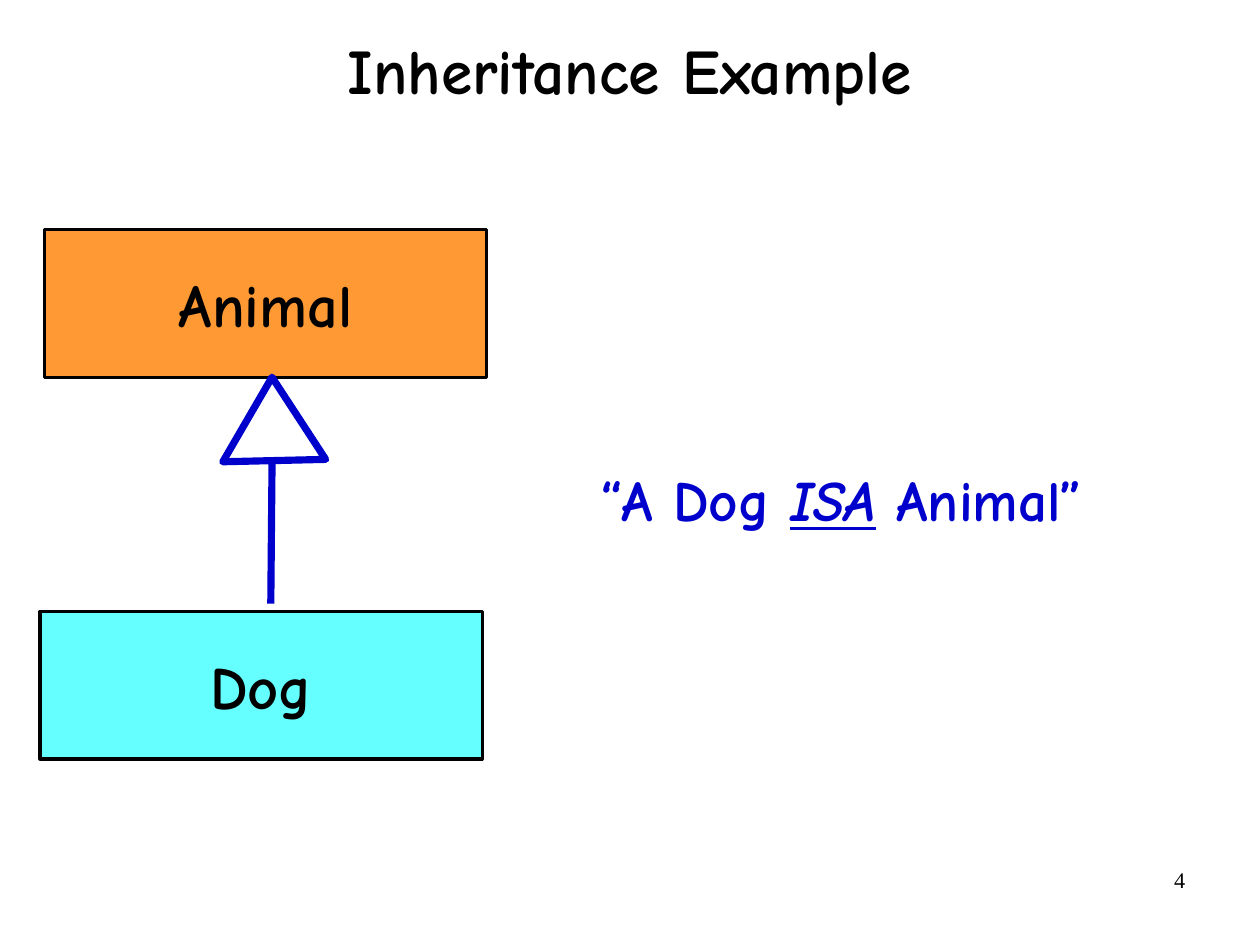
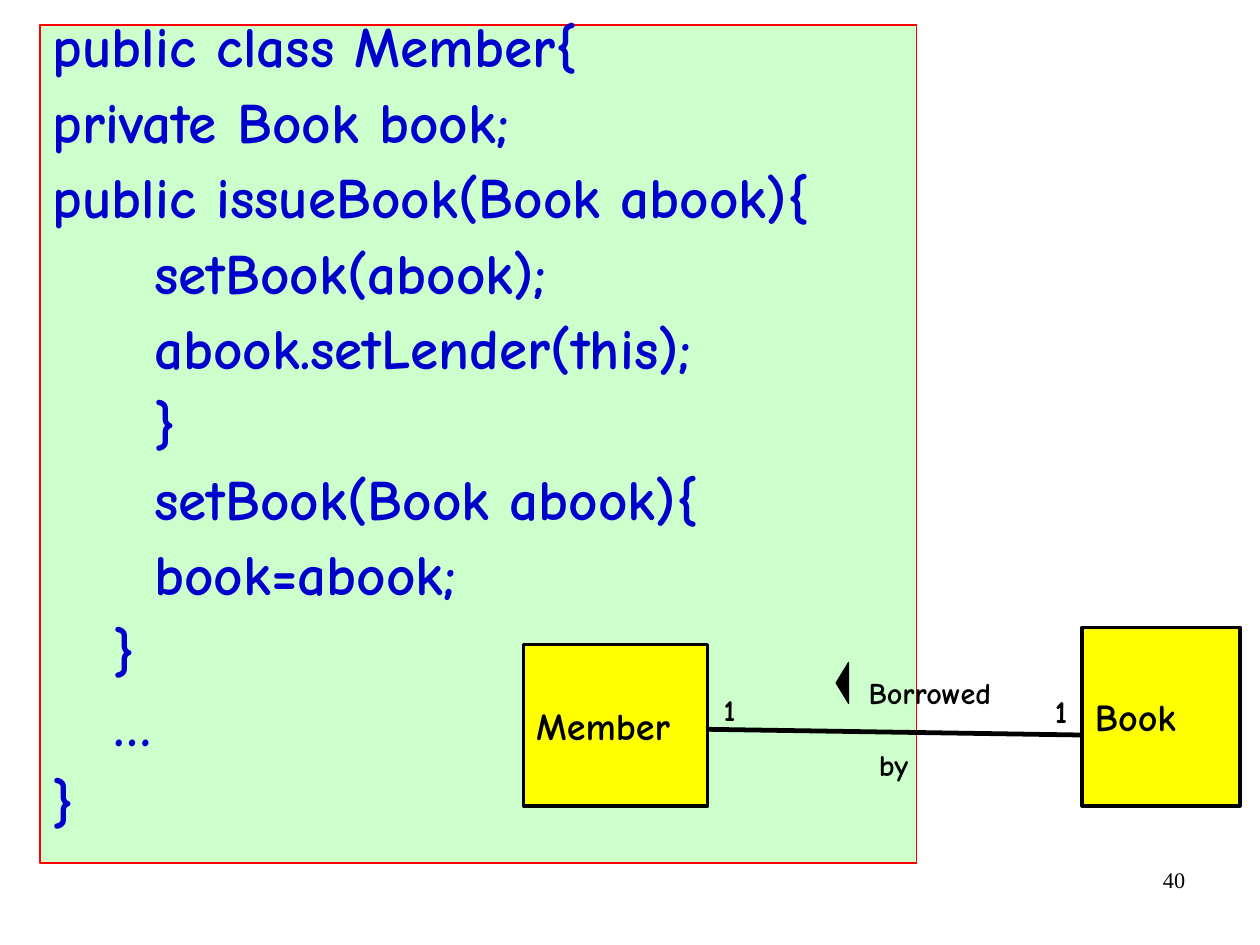
from dataclasses import dataclass

from lxml import etree
from pptx import Presentation
from pptx import util as u
from pptx.dml.color import RGBColor
from pptx.enum import shapes, text
from pptx.oxml import ns

Pt = u.Pt
ALIGN, ANCHOR, SHAPE = text.PP_ALIGN, text.MSO_ANCHOR, shapes.MSO_SHAPE


@dataclass(frozen=True)
class Theme:
    font: str = "Comic Neue"
    number_font: str = "Times New Roman"
    black: str = "000000"
    blue: str = "0000CC"
    orange: str = "FF9933"
    cyan: str = "66FFFF"
    yellow: str = "FFFF00"
    green: str = "CCFFCC"
    red: str = "FF0000"
    title: int = 40
    class_name: int = 38
    body: int = 36
    entity: int = 24
    role: int = 20
    label: int = 19
    number: int = 14


THEME = Theme()
PAGE_SIZE = (793.75, 595.25)
TITLE_AREA = (58.3, -2.2, 676.8, 98.6)
NUMBER_AREA = (568.8, 542.2, 185, 41)
NO_INSET, INSET = (0, 0), (7.9, 4.3)

# Content: inheritance slide
TITLE = "Inheritance Example"
CLASS_SIZE = (278.6, 92.9)
CLASSES = [
    ("Animal", (28.1, 144.7), THEME.orange),
    ("Dog", (25.2, 385.2), THEME.cyan),
]
ARROW_STEM = [(170.6, 380.2), (171.4, 290.9)]
ARROW_HEAD = [(171.4, 237.6), (140.4, 290.9), (205.2, 289.4)]
QUOTE_AREA = (295.2, 288, 469.4, 51.1)
QUOTE = [("“A Dog ", False), ("ISA", True), (" Animal”", False)]

# Content: association slide
CODE_AREA = (25.2, 15.8, 552.2, 527.8)
CODE = [
    "public class Member{",
    "private Book book;",
    "public issueBook(Book abook){",
    "     setBook(abook);",
    "     abook.setLender(this);",
    "     }",
    "     setBook(Book abook){",
    "     book=abook;",
    "   }",
    "   …",
    "}",
]
ENTITIES = [
    ("Member", (329.8, 406.1, 115.9, 101.5)),
    ("Book", (681.8, 395.3, 99.4, 112.3)),
]
ASSOCIATION = [(445.7, 459.4), (681.8, 463)]
DIRECTION_MARK = (517.7, 426.2, 25.9, 7.9)
MULTIPLICITIES = [
    ("1", (455.8, 435.6, 14, 23), THEME.label),
    ("1", (664.6, 435.6, 14, 23), THEME.role),
]
LABEL_AREA = (547.2, 424.8, 115.2, 68.4)
LABEL = [("Borrowed", 0, 0), ("by", 6.5, 22.8)]  # words, indent, space before


def color(value):
    return RGBColor.from_string(value)


def set_frame(box, inset=NO_INSET, anchor=ANCHOR.TOP):
    frame = box.text_frame
    frame.word_wrap = True
    frame.auto_size = text.MSO_AUTO_SIZE.NONE
    frame.vertical_anchor = anchor
    frame.margin_left = frame.margin_right = Pt(inset[0])
    frame.margin_top = frame.margin_bottom = Pt(inset[1])
    return frame


def add_para(frame, align=ALIGN.LEFT, indent=None):
    first = frame.paragraphs[0]
    para = frame.add_paragraph() if first.runs else first
    para.alignment = align
    if indent:
        left, hanging = indent
        properties = para._p.get_or_add_pPr()
        properties.set("marL", str(Pt(left)))
        properties.set("indent", str(Pt(hanging)))
    return para


def add_span(para, words, size, ink=THEME.black, bold=True, font=THEME.font):
    span = para.add_run()
    span.text = words
    span.font.name, span.font.size, span.font.bold = font, Pt(size), bold
    span.font.color.rgb = color(ink)
    return span


def add_frame(page, area, inset=NO_INSET):
    return set_frame(page.shapes.add_textbox(*map(Pt, area)), inset)


def style_line(item, ink, width):
    item.line.color.rgb = color(ink)
    item.line.width = Pt(width)


def add_box(page, area, fill, width, kind=SHAPE.RECTANGLE, ink=THEME.black):
    box = page.shapes.add_shape(kind, *map(Pt, area))
    box.shadow.inherit = False
    box.fill.solid()
    box.fill.fore_color.rgb = color(fill)
    style_line(box, ink, width)
    return box


def add_line(page, ends, ink, width):
    (x1, y1), (x2, y2) = ends
    line = page.shapes.add_connector(
        shapes.MSO_CONNECTOR.STRAIGHT, Pt(x1), Pt(y1), Pt(x2), Pt(y2))
    style_line(line, ink, width)
    etree.SubElement(line._element.spPr, ns.qn("a:effectLst"))


def add_page(deck, number, title=None):
    page = deck.slides.add_slide(deck.slide_layouts[5 if title else 6])
    if title:
        box = page.shapes.title
        box.left, box.top, box.width, box.height = map(Pt, TITLE_AREA)
        para = add_para(set_frame(box, anchor=ANCHOR.MIDDLE), ALIGN.CENTER)
        para.line_spacing = 0.88
        add_span(para, title, THEME.title)
    para = add_para(add_frame(page, NUMBER_AREA, (7.2, 3.6)), ALIGN.RIGHT)
    add_span(para, number, THEME.number, bold=False, font=THEME.number_font)
    return page


def build_inheritance(deck):
    page = add_page(deck, "4", TITLE)

    # Quotation
    para = add_para(add_frame(page, QUOTE_AREA, INSET), ALIGN.CENTER)
    for words, stressed in QUOTE:
        span = add_span(para, words, THEME.body, THEME.blue)
        span.font.italic = span.font.underline = stressed

    # Classes
    for name, corner, fill in CLASSES:
        box = add_box(page, corner + CLASS_SIZE, fill, 2)
        frame = set_frame(box, INSET, ANCHOR.MIDDLE)
        add_span(add_para(frame, ALIGN.CENTER), name, THEME.class_name)

    # Inheritance arrow
    add_line(page, ARROW_STEM, THEME.blue, 4.5)
    tip, *base = [(Pt(x), Pt(y)) for x, y in ARROW_HEAD]
    builder = page.shapes.build_freeform(*tip)
    builder.add_line_segments(base, close=True)
    head = builder.convert_to_shape()
    head.shadow.inherit = False
    head.fill.background()
    style_line(head, THEME.blue, 4.5)
    etree.SubElement(head.line._get_or_add_ln(), ns.qn("a:round"))


def build_association(deck):
    page = add_page(deck, "40")

    # Code panel
    frame = set_frame(add_box(page, CODE_AREA, THEME.green, 0.75, ink=THEME.red))
    for code in CODE:
        para = add_para(frame, indent=(33.1, -25.2))
        para.line_spacing, para.space_after = 0.78, Pt(13.8)
        add_span(para, code, THEME.body, THEME.blue)

    # Entities and their association
    for name, area in ENTITIES:
        box = add_box(page, area, THEME.yellow, 2.25)
        frame = set_frame(box, INSET, ANCHOR.MIDDLE)
        add_span(add_para(frame), name, THEME.entity)
    add_line(page, ASSOCIATION, THEME.black, 3)
    mark = add_box(page, DIRECTION_MARK, THEME.black, 0.75,
                   SHAPE.ISOSCELES_TRIANGLE)
    mark.rotation = 270

    # Association labels
    for words, area, size in MULTIPLICITIES:
        add_span(add_para(add_frame(page, area)), words, size)
    frame = add_frame(page, LABEL_AREA)
    for words, indent, gap in LABEL:
        para = add_para(frame, indent=(indent, 0))
        if gap:
            para.space_before = Pt(gap)
        add_span(para, words, THEME.label)


def main():
    deck = Presentation()
    deck.slide_width, deck.slide_height = map(Pt, PAGE_SIZE)
    build_inheritance(deck)
    build_association(deck)
    deck.save("out.pptx")


if __name__ == "__main__":
    main()
